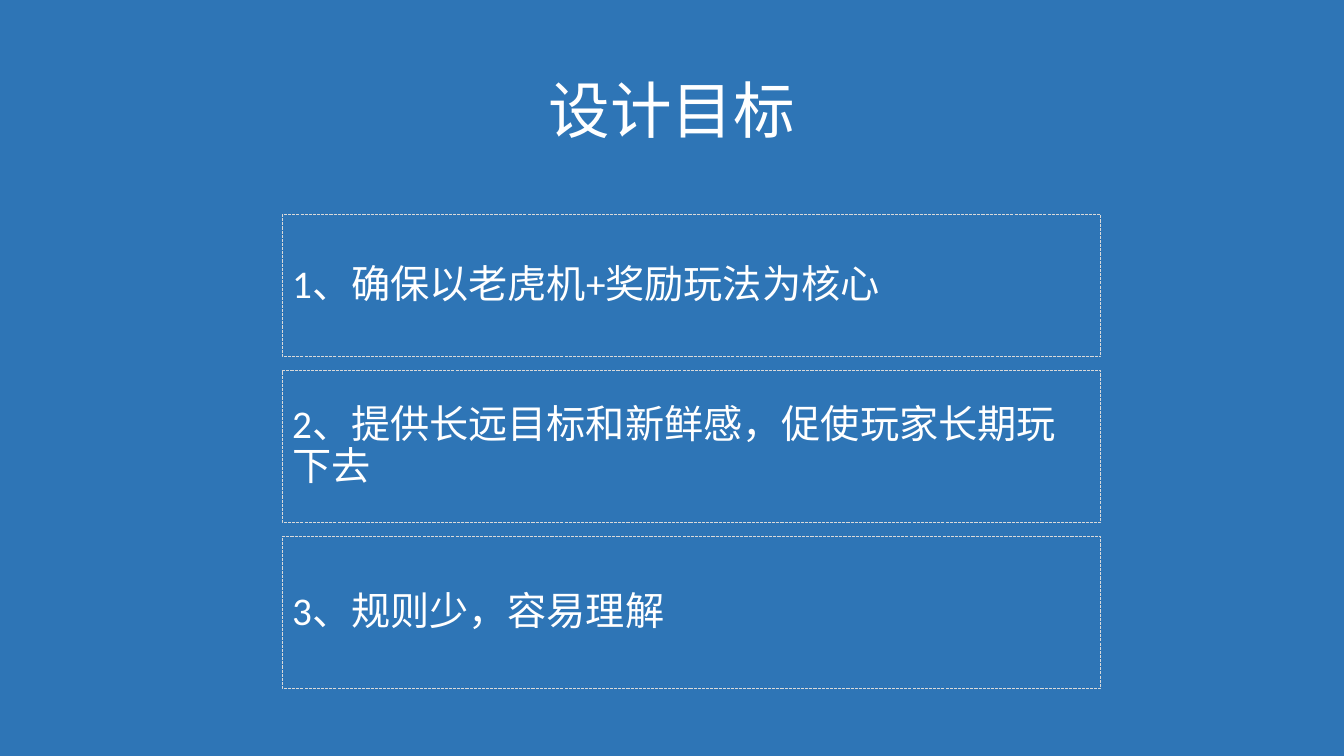
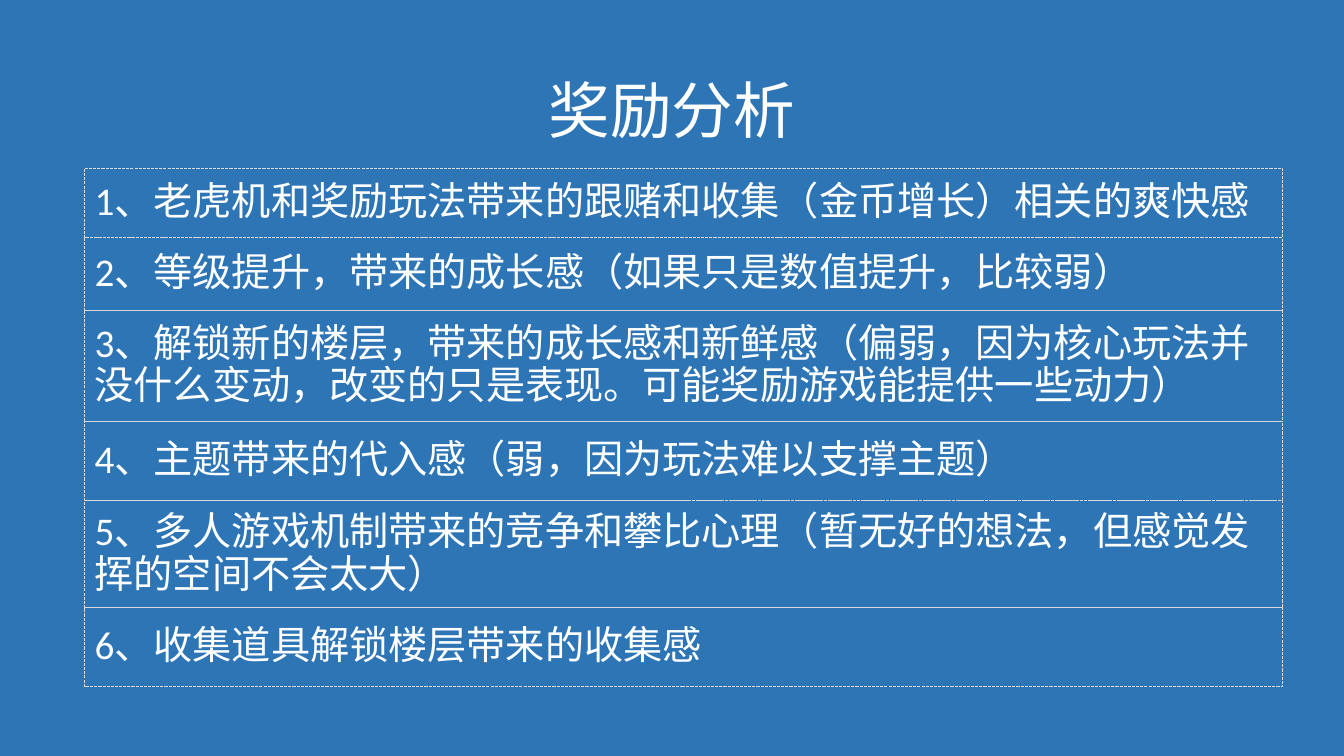
"""Build two slides of outlined statement boxes under a centred title."""
from dataclasses import dataclass

from pptx import Presentation
from pptx.dml.color import RGBColor as RGB
from pptx.enum.dml import MSO_LINE as Dash
from pptx.enum.shapes import MSO_SHAPE as Kind
from pptx.enum.text import MSO_ANCHOR as Anchor, MSO_AUTO_SIZE as Fit, PP_ALIGN as Align
from pptx.util import Pt


@dataclass(frozen=True)
class Theme:
    back: RGB = RGB(0x2E, 0x75, 0xB6)
    ink: RGB = RGB(0xFF, 0xFF, 0xFF)
    edge: RGB = RGB(0xD9, 0xD9, 0xD9)
    font: str = "Calibri"
    head: int = 44
    body: int = 28
    lead: float = 0.9
    rule: float = 0.75


THEME = Theme()

GOALS = [
    ("1、确保以老虎机+奖励玩法为核心", 101.5),
    ("2、提供长远目标和新鲜感，促使玩家长期玩下去", 108.7),
    ("3、规则少，容易理解", 108.7),
]

REWARDS = [
    ("1、老虎机和奖励玩法带来的跟赌和收集（金币增长）相关的爽快感", 49.7),
    ("2、等级提升，带来的成长感（如果只是数值提升，比较弱）", 51.8),
    ("3、解锁新的楼层，带来的成长感和新鲜感（偏弱，因为核心玩法并没什么变动，"
     "改变的只是表现。可能奖励游戏能提供一些动力）", 79.2),
    ("4、主题带来的代入感（弱，因为玩法难以支撑主题）", 56.9),
    ("5、多人游戏机制带来的竞争和攀比心理（暂无好的想法，但感觉发挥的空间不会太大）", 76.3),
    ("6、收集道具解锁楼层带来的收集感", 56.2),
]


def write(shape, text, size, align, before=0):
    frame = shape.text_frame
    frame.text = text
    frame.word_wrap = True
    frame.auto_size = Fit.NONE
    frame.vertical_anchor = Anchor.MIDDLE
    para = frame.paragraphs[0]
    para.alignment = align
    para.line_spacing = THEME.lead
    para.space_before = Pt(before)
    para.font.name = THEME.font
    para.font.size = Pt(size)
    para.font.color.rgb = THEME.ink


def add_page(deck, text):
    page = deck.slides.add_slide(deck.slide_layouts.get_by_name("Title Only"))
    title = page.shapes.title
    title.left, title.top = Pt(66), Pt(28.75)
    title.width, title.height = Pt(828), Pt(104.4)
    write(title, text, THEME.head, Align.CENTER)
    return page


def add_box(page, text, left, top, width, height):
    box = page.shapes.add_shape(Kind.RECTANGLE, Pt(left), Pt(top), Pt(width), Pt(height))
    box.shadow.inherit = False
    box.fill.background()
    box.line.color.rgb = THEME.edge
    box.line.width = Pt(THEME.rule)
    box.line.dash_style = Dash.SQUARE_DOT
    write(box, text, THEME.body, Align.LEFT, before=10)


def add_stack(page, items, left, top, width, gap=0):
    for text, height in items:
        add_box(page, text, left, top, width, height)
        top += height + gap


def main():
    deck = Presentation()
    deck.slide_width, deck.slide_height = Pt(960), Pt(540)
    fill = deck.slide_master.background.fill
    fill.solid()
    fill.fore_color.rgb = THEME.back
    add_stack(add_page(deck, "设计目标"), GOALS, 201.6, 153.4, 584.6, gap=9.8)
    add_stack(add_page(deck, "奖励分析"), REWARDS, 60.5, 120.2, 855.4)
    deck.save("out.pptx")


main()
